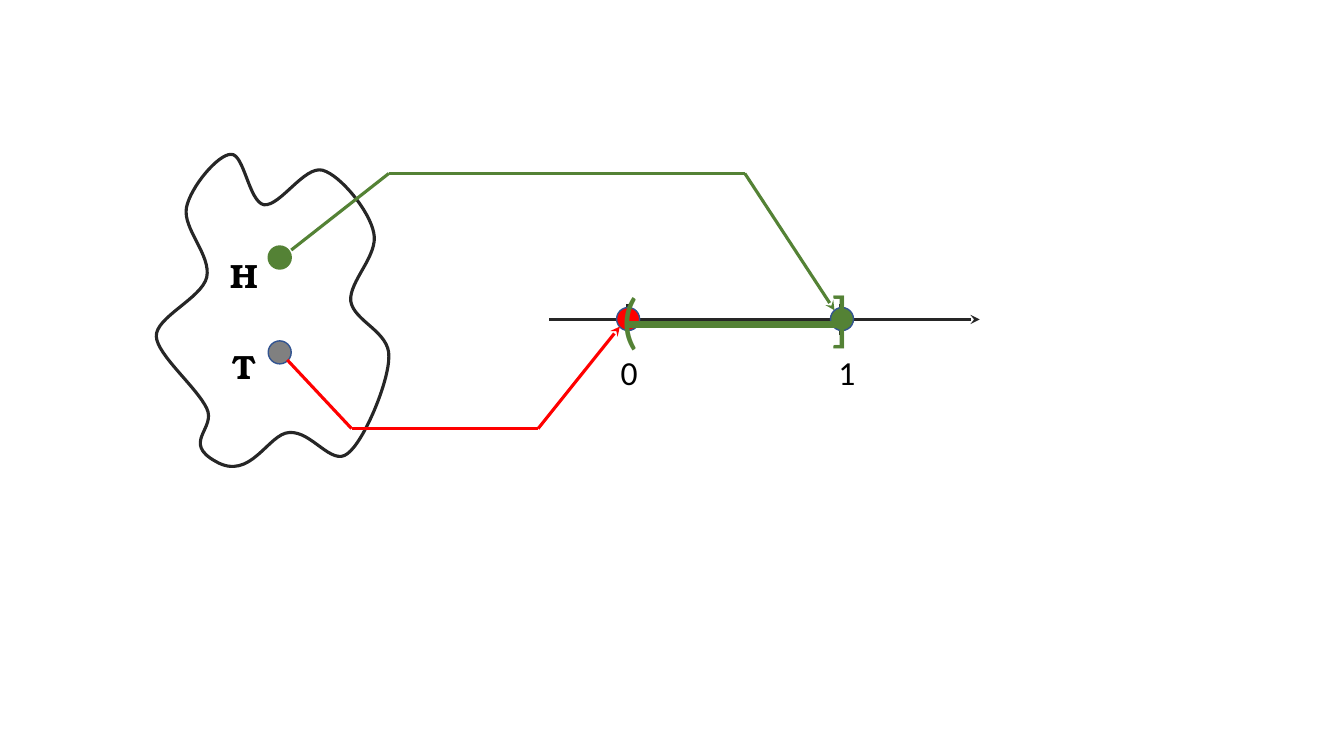
from dataclasses import dataclass
from itertools import pairwise

from lxml import etree
from pptx import Presentation
from pptx.dml.color import RGBColor
from pptx.enum import shapes, text
from pptx.oxml import ns
from pptx.slide import Slide
from pptx.util import Cm, Pt

Point = tuple[float, float]


@dataclass(frozen=True)
class Theme:
    """Colours, fonts and sizes of the slide."""

    ink: RGBColor = RGBColor(0x26, 0x26, 0x26)
    black: RGBColor = RGBColor(0, 0, 0)
    white: RGBColor = RGBColor(0xFF, 0xFF, 0xFF)
    green: RGBColor = RGBColor(0x54, 0x82, 0x35)
    red: RGBColor = RGBColor(0xFF, 0, 0)
    grey: RGBColor = RGBColor(0x80, 0x80, 0x80)
    navy: RGBColor = RGBColor(0x32, 0x54, 0x91)
    serif: str = "TeX Gyre Bonum"
    sans: str = "Calibri"
    label_size: int = 24
    bracket_size: int = 44
    stroke: float = 2.25
    interval_stroke: float = 4.5


THEME = Theme()
DOT_SIZE = 0.58
AXIS_Y = 8.05
ZERO_X, ONE_X = 15.82, 21.18


@dataclass(frozen=True)
class Dot:
    """A round marker, placed by its left top corner."""

    left: float
    top: float
    fill: RGBColor
    outline: RGBColor = THEME.navy


@dataclass(frozen=True)
class Label:
    """A single piece of text in a box."""

    wording: str
    left: float
    top: float
    width: float
    height: float = 1.27
    size: int = THEME.label_size
    font: str = THEME.sans
    color: RGBColor = THEME.black
    bold: bool = False
    wrap: bool = True


@dataclass(frozen=True)
class Route:
    """A chain of straight lines, with or without an arrowhead."""

    stops: tuple[Point, ...]
    color: RGBColor = THEME.ink
    stroke: float = THEME.stroke
    arrow: bool = False


OUTCOME_DOTS = (
    Dot(6.76, 6.2, THEME.green, THEME.green),
    Dot(6.76, 8.59, THEME.grey),
)
VALUE_DOTS = (Dot(20.93, 7.75, THEME.green), Dot(15.54, 7.75, THEME.red))
LABELS = (
    Label("H", 5.56, 6.3, 1.22, font=THEME.serif, bold=True, wrap=False),
    Label("T", 5.61, 8.59, 1.12, font=THEME.serif, bold=True, wrap=False),
    Label("0", 15.39, 8.74, 1.52),
    Label("1", 20.88, 8.74, 1.52),
)
OPEN_END, CLOSED_END = (
    Label(sign, left, top, 1.96, 2.13, THEME.bracket_size, color=THEME.green)
    for sign, left, top in (("(", 15.39, 6.96), ("]", 20.68, 6.91))
)
AXIS = (
    Route(((13.84, AXIS_Y), (24.69, AXIS_Y)), arrow=True),
    *(Route(((x, 8.43), (x, 7.65))) for x in (ZERO_X, ONE_X)),
)
HEADS_ROUTE = Route(
    ((7.34, 6.3), (9.8, 4.37), (18.77, 4.37), (21.03, 7.82)), THEME.green, arrow=True
)
TAILS_ROUTE = Route(
    ((7.24, 9.07), (8.86, 10.8), (13.56, 10.8), (15.62, 8.23)), THEME.red, arrow=True
)
INTERVAL = Route(((ZERO_X, 8.18), (ONE_X, 8.18)), THEME.green, THEME.interval_stroke)

SPACE_START: Point = (4.7, 5.23)
SPACE_CURVES: tuple[tuple[Point, Point, Point], ...] = (
    ((4.8, 4.72), (5.49, 3.89), (5.82, 3.89)),
    ((6.15, 3.86), (6.27, 5.08), (6.65, 5.16)),
    ((7.06, 5.21), (7.67, 4.17), (8.13, 4.29)),
    ((8.59, 4.42), (9.32, 5.33), (9.42, 5.87)),
    ((9.55, 6.43), (8.79, 7.09), (8.84, 7.59)),
    ((8.92, 8.1), (9.83, 8.36), (9.8, 8.99)),
    ((9.8, 9.63), (9.17, 11.13), (8.76, 11.43)),
    ((8.36, 11.76), (7.85, 10.85), (7.29, 10.9)),
    ((6.76, 10.92), (6.32, 12.14), (5.44, 11.63)),
    ((4.57, 11.15), (5.46, 10.8), (5.21, 10.29)),
    ((4.95, 9.75), (3.96, 8.94), (3.94, 8.48)),
    ((3.91, 8.0), (5.08, 7.52), (5.21, 6.99)),
    ((5.33, 6.43), (4.6, 5.77), SPACE_START),
)
SPACE_HEIGHT = 7.9


def draw_sample_space(slide: Slide) -> None:
    """Draw the closed curved outline around the outcomes."""
    builder = slide.shapes.build_freeform(*map(Cm, SPACE_START))
    builder.add_line_segments([tuple(map(Cm, curve[-1])) for curve in SPACE_CURVES])
    space = builder.convert_to_shape()
    space.shadow.inherit = False
    space.fill.solid()
    space.fill.fore_color.rgb = THEME.white
    space.line.color.rgb = THEME.ink
    space.line.width = Pt(THEME.stroke)
    space.height = Cm(SPACE_HEIGHT)
    outline = next(space._element.iter(ns.qn("a:path")))
    outline.set("h", str(space.height))
    for segment, curve in zip(outline.findall(ns.qn("a:lnTo")), SPACE_CURVES):
        bend = etree.Element(ns.qn("a:cubicBezTo"))
        for x, y in curve:
            point = etree.SubElement(bend, ns.qn("a:pt"))
            point.set("x", str(Cm(x) - space.left))
            point.set("y", str(Cm(y) - space.top))
        outline.replace(segment, bend)


def draw_dot(slide: Slide, dot: Dot) -> None:
    """Draw one round marker."""
    marker = slide.shapes.add_shape(
        shapes.MSO_SHAPE.OVAL, Cm(dot.left), Cm(dot.top), Cm(DOT_SIZE), Cm(DOT_SIZE)
    )
    marker.shadow.inherit = False
    marker.fill.solid()
    marker.fill.fore_color.rgb = dot.fill
    marker.line.color.rgb = dot.outline
    marker.line.width = Pt(1)


def draw_label(slide: Slide, label: Label) -> None:
    """Write one label."""
    box = slide.shapes.add_textbox(
        Cm(label.left), Cm(label.top), Cm(label.width), Cm(label.height)
    )
    frame = box.text_frame
    frame.word_wrap = label.wrap
    frame.auto_size = text.MSO_AUTO_SIZE.SHAPE_TO_FIT_TEXT
    wording = frame.paragraphs[0]
    wording.text = label.wording
    wording.font.name = label.font
    wording.font.size = Pt(label.size)
    wording.font.bold = label.bold
    wording.font.color.rgb = label.color


def draw_route(slide: Slide, route: Route) -> None:
    """Draw each leg of a route and put the arrowhead on the last."""
    for start, end in pairwise(route.stops):
        leg = slide.shapes.add_connector(
            shapes.MSO_CONNECTOR.STRAIGHT, *map(Cm, start + end)
        )
        leg.line.color.rgb = route.color
        leg.line.width = Pt(route.stroke)
        properties = leg._element.spPr
        if route.arrow and end == route.stops[-1]:
            stroke = properties.find(ns.qn("a:ln"))
            etree.SubElement(stroke, ns.qn("a:tailEnd")).set("type", "stealth")
        etree.SubElement(properties, ns.qn("a:effectLst"))


def main() -> None:
    """Build the slide of a random variable on a coin toss."""
    deck = Presentation()
    deck.slide_width, deck.slide_height = Cm(33.87), Cm(19.05)
    slide = deck.slides.add_slide(deck.slide_layouts[6])
    draw_sample_space(slide)
    for dot in OUTCOME_DOTS:
        draw_dot(slide, dot)
    for label in LABELS:
        draw_label(slide, label)
    for route in (*AXIS, HEADS_ROUTE):
        draw_route(slide, route)
    for dot in VALUE_DOTS:
        draw_dot(slide, dot)
    draw_route(slide, TAILS_ROUTE)
    draw_label(slide, OPEN_END)
    draw_route(slide, INTERVAL)
    draw_label(slide, CLOSED_END)
    deck.save("out.pptx")


if __name__ == "__main__":
    main()
